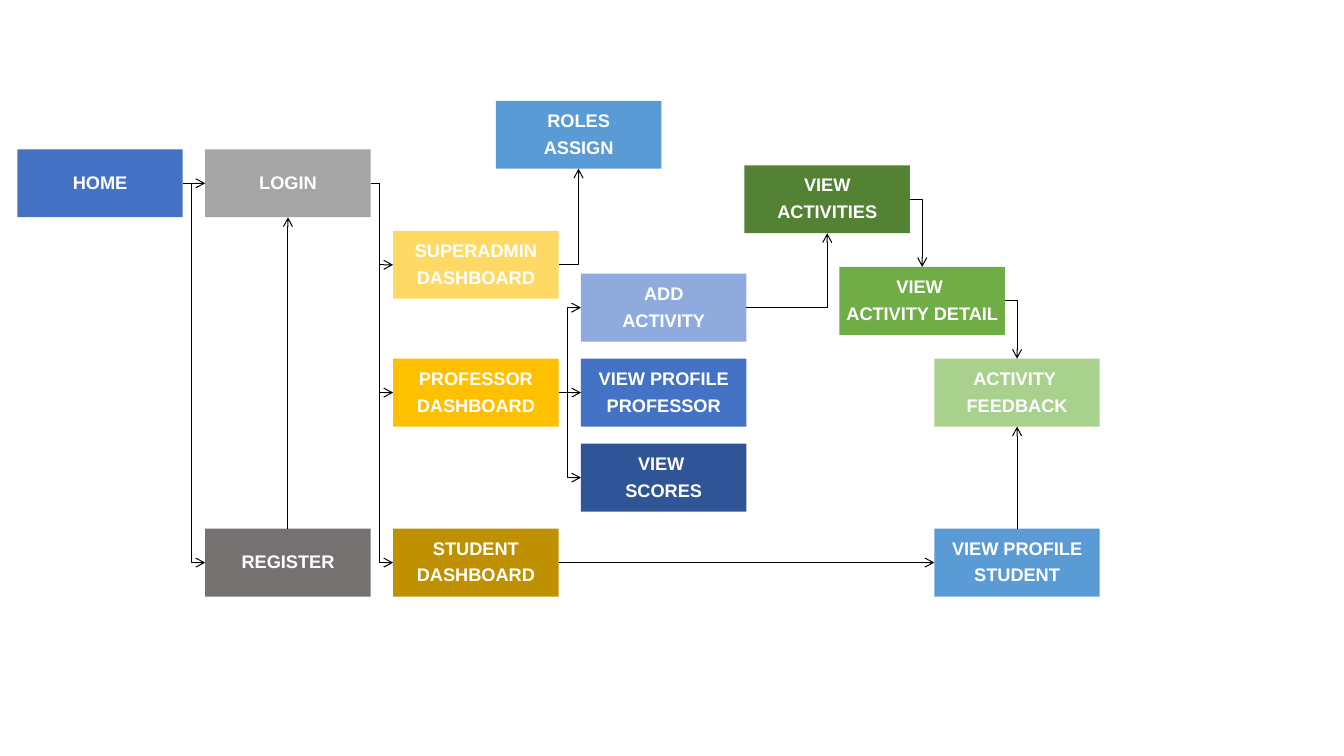
from lxml import etree
from pptx import Presentation
from pptx.dml.color import RGBColor
from pptx.enum.shapes import MSO_CONNECTOR as Connector, MSO_SHAPE as Shape
from pptx.enum.text import MSO_ANCHOR as Anchor, PP_ALIGN as Align
from pptx.oxml.ns import qn
from pptx.util import Pt

COLORS = {
    "white": "FFFFFF", "black": "000000", "blue": "4472C4", "gray": "A5A5A5",
    "dark_gray": "767171", "yellow": "FFD966", "gold": "FFC000",
    "dark_gold": "BF9000", "sky": "5B9BD5", "pale_blue": "8FAADC",
    "navy": "2F5597", "dark_green": "548235", "green": "70AD47",
    "pale_green": "A9D18E",
}
BOX_WIDTH, BOX_HEIGHT = 118.2, 48.5
COLUMN_STEP, ROW_STEP, GREEN_STEP = 134.2, 60.7, 67.8
BEND = 6.4
HOME_ROW, ADMIN_ROW, PROFESSOR_ROW = 34.7, 92.9, 184.2
ADD_ROW, SCORES_ROW = PROFESSOR_ROW - ROW_STEP, PROFESSOR_ROW + ROW_STEP
STUDENT_ROW = PROFESSOR_ROW + 2 * ROW_STEP
HOME, LOGIN, DASHBOARD, PROFESSOR = [COLUMN_STEP * i for i in range(4)]
GREENS = [519.4 + GREEN_STEP * i for i in range(3)]
TOP, LEFT, BOTTOM, RIGHT = range(4)

PAGES = {
    "home": (HOME, HOME_ROW, "blue", ["HOME"]),
    "login": (LOGIN, HOME_ROW, "gray", ["LOGIN"]),
    "register": (LOGIN, STUDENT_ROW, "dark_gray", ["REGISTER"]),
    "superadmin": (DASHBOARD, ADMIN_ROW, "yellow", ["SUPERADMIN", "DASHBOARD"]),
    "professor": (DASHBOARD, PROFESSOR_ROW, "gold", ["PROFESSOR", "DASHBOARD"]),
    "student": (DASHBOARD, STUDENT_ROW, "dark_gold", ["STUDENT", "DASHBOARD"]),
    "roles": (341.8, 0, "sky", ["ROLES", "ASSIGN"]),
    "add": (PROFESSOR, ADD_ROW, "pale_blue", ["ADD", "ACTIVITY"]),
    "profile": (PROFESSOR, PROFESSOR_ROW, "blue", ["VIEW PROFILE", "PROFESSOR"]),
    "scores": (PROFESSOR, SCORES_ROW, "navy", ["VIEW ", "SCORES"]),
    "activities": (GREENS[0], 46.1, "dark_green", ["VIEW", "ACTIVITIES"]),
    "detail": (GREENS[1], 118.7, "green", ["VIEW ", "ACTIVITY DETAIL"]),
    "feedback": (GREENS[2], PROFESSOR_ROW, "pale_green", ["ACTIVITY ", "FEEDBACK"]),
    "student_profile": (GREENS[2], STUDENT_ROW, "sky", ["VIEW PROFILE", "STUDENT"]),
}
STRAIGHT_LINKS = [
    ("home", RIGHT, "login", LEFT),
    ("register", TOP, "login", BOTTOM),
    ("professor", RIGHT, "profile", LEFT),
    ("student", RIGHT, "student_profile", LEFT),
    ("student_profile", TOP, "feedback", BOTTOM),
]
BENT_LINKS = [
    ("home", "register", LEFT),
    ("login", "superadmin", LEFT),
    ("login", "professor", LEFT),
    ("login", "student", LEFT),
    ("professor", "add", LEFT),
    ("professor", "scores", LEFT),
    ("superadmin", "roles", BOTTOM),
    ("add", "activities", BOTTOM),
    ("activities", "detail", TOP),
    ("detail", "feedback", TOP),
]
FRAME_FORMAT = {
    "word_wrap": True, "vertical_anchor": Anchor.MIDDLE,
    "margin_left": Pt(0.7), "margin_right": Pt(0.7),
    "margin_top": Pt(0.7), "margin_bottom": Pt(0.7),
}
PARAGRAPH_FORMAT = {"alignment": Align.CENTER, "line_spacing": 0.9}
FONT_FORMAT = {"name": "Arial", "size": Pt(13), "bold": True}


def apply_format(target, values):
    for name, value in values.items():
        setattr(target, name, value)


def color(name):
    return RGBColor.from_string(COLORS[name])


def add_page(slide, left, top, fill, lines):
    shape = slide.shapes.add_shape(
        Shape.RECTANGLE, Pt(left), Pt(top), Pt(BOX_WIDTH), Pt(BOX_HEIGHT))
    shape.shadow.inherit = False
    shape.fill.solid()
    shape.fill.fore_color.rgb = color(fill)
    shape.line.fill.background()
    frame = shape.text_frame
    apply_format(frame, FRAME_FORMAT)
    for index, line in enumerate(lines):
        paragraph = frame.add_paragraph() if index else frame.paragraphs[0]
        apply_format(paragraph, PARAGRAPH_FORMAT)
        paragraph.space_before = Pt(5.2 if index else 0)
        run = paragraph.add_run()
        run.text = line
        apply_format(run.font, FONT_FORMAT)
        run.font.color.rgb = color("white")
    return shape


def style_arrow(line):
    line.color.rgb = color("black")
    line.width = Pt(0.75)
    etree.SubElement(line.color and line._get_or_add_ln(), qn("a:tailEnd"), type="arrow")


def side_point(shape, side):
    middle_x = shape.left + shape.width // 2
    middle_y = shape.top + shape.height // 2
    return {
        TOP: (middle_x, shape.top),
        LEFT: (shape.left, middle_y),
        BOTTOM: (middle_x, shape.top + shape.height),
        RIGHT: (shape.left + shape.width, middle_y),
    }[side]


def add_straight_link(slide, source, source_side, target, target_side):
    connector = slide.shapes.add_connector(
        Connector.STRAIGHT, *side_point(source, source_side),
        *side_point(target, target_side))
    connector.begin_connect(source, source_side)
    connector.end_connect(target, target_side)
    style_arrow(connector.line)
    etree.SubElement(connector._element.spPr, qn("a:effectLst"))


def add_bent_link(slide, source, target, target_side):
    start = side_point(source, RIGHT)
    end = side_point(target, target_side)
    if target_side == LEFT:
        bend = start[0] + Pt(BEND)
        points = [(bend, start[1]), (bend, end[1]), end]
    else:
        points = [(end[0], start[1]), end]
    builder = slide.shapes.build_freeform(*start)
    builder.add_line_segments(points, close=False)
    shape = builder.convert_to_shape()
    shape.shadow.inherit = False
    shape.fill.background()
    style_arrow(shape.line)


def add_site_map(slide, left, top):
    pages = {
        name: add_page(slide, left + x, top + y, fill, lines)
        for name, (x, y, fill, lines) in PAGES.items()
    }
    for source, source_side, target, target_side in STRAIGHT_LINKS:
        add_straight_link(slide, pages[source], source_side, pages[target], target_side)
    for source, target, target_side in BENT_LINKS:
        add_bent_link(slide, pages[source], pages[target], target_side)


def main():
    presentation = Presentation()
    presentation.slide_width, presentation.slide_height = Pt(960), Pt(540)
    slide = presentation.slides.add_slide(presentation.slide_layouts[6])
    add_site_map(slide, 12.4, 72)
    presentation.save("out.pptx")


if __name__ == "__main__":
    main()
